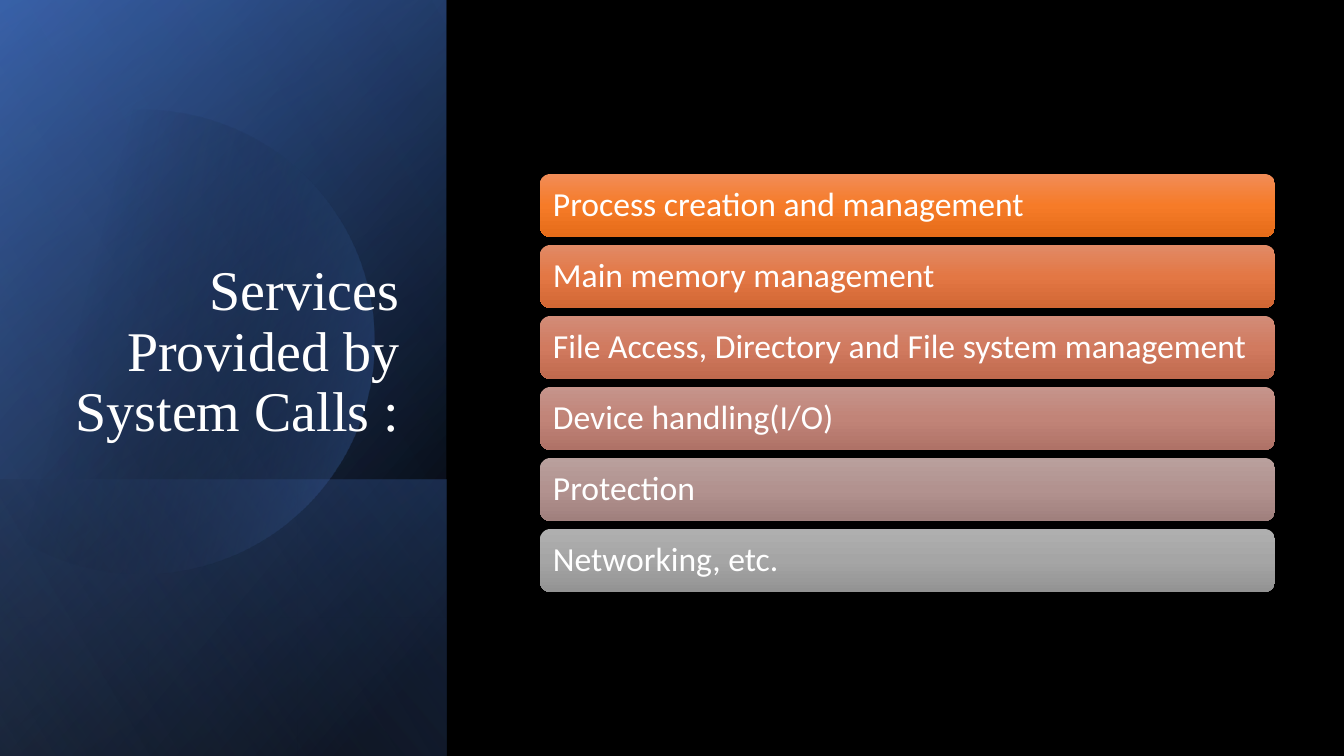
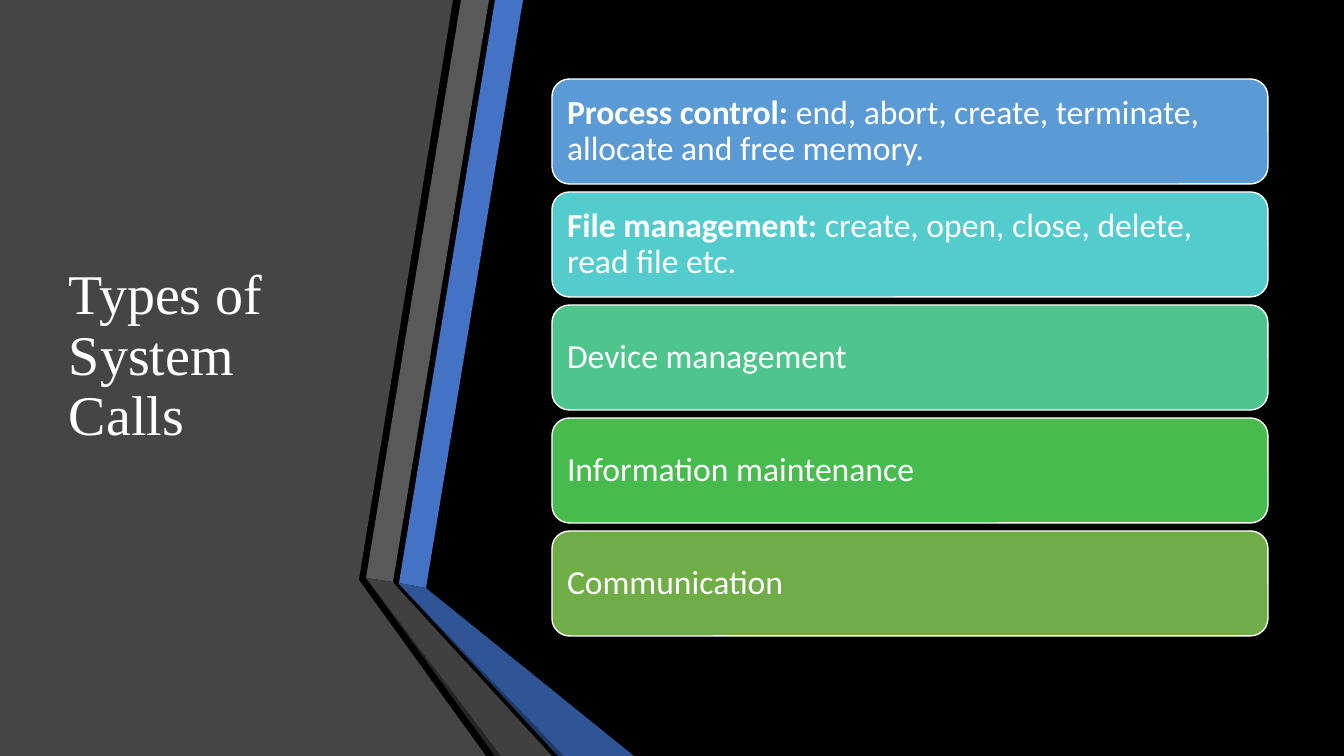
"""Build two slides on system calls: services provided and types."""
from dataclasses import dataclass
from math import acos, cos, sin

from lxml import etree
from pptx import Presentation
from pptx.dml.color import RGBColor
from pptx.enum.shapes import MSO_SHAPE
from pptx.enum.text import MSO_ANCHOR, PP_ALIGN
from pptx.oxml.ns import qn
from pptx.shapes.autoshape import Shape
from pptx.slide import Slide
from pptx.util import Emu, Inches, Pt

EMU_PER_PIXEL = 914400 / 100.8
PAGE_WIDTH, PAGE_HEIGHT = 1344, 756
PANEL_WIDTH = 446

ROUNDED, RECTANGLE = MSO_SHAPE.ROUNDED_RECTANGLE, MSO_SHAPE.RECTANGLE
MIDDLE, BOTTOM = MSO_ANCHOR.MIDDLE, MSO_ANCHOR.BOTTOM
LEFT, RIGHT = PP_ALIGN.LEFT, PP_ALIGN.RIGHT

TITLE_FONT, BODY_FONT = "Times New Roman", "Calibri"
TITLE_SIZE, BODY_SIZE = Pt(40), Pt(24)
LINE_SPACING = 0.9

BLACK = RGBColor(0x00, 0x00, 0x00)
WHITE = RGBColor(0xFF, 0xFF, 0xFF)
BLUE = RGBColor(0x44, 0x72, 0xC4)
DARK_BLUE = RGBColor(0x2F, 0x55, 0x97)
NAVY = RGBColor(0x20, 0x38, 0x64)
PALE_BLUE = RGBColor(0x8F, 0xAA, 0xDC)
PANEL_GREY = RGBColor(0x45, 0x45, 0x45)
RIBBON_GREY = RGBColor(0x59, 0x59, 0x59)
FOLD_GREY = RGBColor(0x40, 0x40, 0x40)
EDGE_GREY = RGBColor(0x26, 0x26, 0x26)
SKY = RGBColor(0x5B, 0x9B, 0xD5)
TURQUOISE = RGBColor(0x54, 0xCC, 0xCD)
MINT = RGBColor(0x4D, 0xC5, 0x8D)
GREEN = RGBColor(0x48, 0xBB, 0x4F)
OLIVE = RGBColor(0x70, 0xAD, 0x47)
ORANGES = (RGBColor(0xF1, 0x8C, 0x57), RGBColor(0xF6, 0x7B, 0x28), RGBColor(0xE5, 0x6C, 0x19))
CORALS = (RGBColor(0xE1, 0x8A, 0x66), RGBColor(0xE3, 0x77, 0x44), RGBColor(0xD2, 0x67, 0x34))
BRICKS = (RGBColor(0xD2, 0x8C, 0x78), RGBColor(0xD1, 0x7A, 0x5F), RGBColor(0xC0, 0x6A, 0x4E))
ROSES = (RGBColor(0xC5, 0x94, 0x8B), RGBColor(0xC1, 0x84, 0x78), RGBColor(0xAF, 0x72, 0x67))
MAUVES = (RGBColor(0xB9, 0xA0, 0x9D), RGBColor(0xB2, 0x92, 0x8F), RGBColor(0xA0, 0x80, 0x7D))
GREYS = (RGBColor(0xAF, 0xAF, 0xAF), RGBColor(0xA5, 0xA5, 0xA5), RGBColor(0x93, 0x93, 0x93))

Point = tuple[float, float]


@dataclass(frozen=True)
class Stop:
    """A gradient colour at a position, both measures in percent."""

    position: int
    color: RGBColor
    opacity: int = 100


@dataclass(frozen=True)
class Gradient:
    """A linear gradient with a clockwise angle in degrees."""

    angle: int
    stops: tuple[Stop, ...]


Fill = RGBColor | Gradient


@dataclass(frozen=True)
class Box:
    """A rectangle in pixels."""

    left: int
    top: int
    width: int
    height: int


@dataclass(frozen=True)
class Layer:
    """A gradient layer of the side panel, from a top edge to the page foot."""

    top: int
    fill: Gradient


@dataclass(frozen=True)
class Facet:
    """A filled polygon of the folded ribbon."""

    fill: RGBColor
    points: tuple[Point, ...]


@dataclass(frozen=True)
class Bar:
    """A list entry with an optional bold lead."""

    fill: Fill
    text: str
    lead: str = ""


@dataclass(frozen=True)
class BarList:
    """A column of equal bars; the box is that of the first one."""

    first: Box
    pitch: int
    outline: RGBColor | None
    bars: tuple[Bar, ...]


@dataclass(frozen=True)
class Title:
    """A slide title and its placement."""

    text: str
    box: Box
    anchor: MSO_ANCHOR
    align: PP_ALIGN


def px(pixels: float) -> Emu:
    """Convert pixels to EMU."""
    return Emu(round(pixels * EMU_PER_PIXEL))


def place(box: Box) -> tuple[Emu, Emu, Emu, Emu]:
    """Convert a box to EMU."""
    return px(box.left), px(box.top), px(box.width), px(box.height)


def shaded(colors: tuple[RGBColor, ...]) -> Gradient:
    """Return a top-to-bottom gradient through three colours."""
    return Gradient(90, tuple(Stop(50 * index, color) for index, color in enumerate(colors)))


def apply_gradient(shape: Shape, gradient: Gradient) -> None:
    """Fill a shape with a gradient that turns with it."""
    shape.fill.gradient()
    element = shape._element.spPr.find(qn("a:gradFill"))
    element.clear()
    element.set("rotWithShape", "1")
    stop_list = etree.SubElement(element, qn("a:gsLst"))
    for stop in gradient.stops:
        entry = etree.SubElement(stop_list, qn("a:gs"), pos=str(stop.position * 1000))
        color = etree.SubElement(entry, qn("a:srgbClr"), val=str(stop.color))
        if stop.opacity < 100:
            etree.SubElement(color, qn("a:alpha"), val=str(stop.opacity * 1000))
    etree.SubElement(element, qn("a:lin"), ang=str(gradient.angle * 60000), scaled="0")


def style(shape: Shape, fill: Fill, outline: RGBColor | None = None) -> None:
    """Set fill and outline, and drop the shadow."""
    shape.shadow.inherit = False
    if isinstance(fill, Gradient):
        apply_gradient(shape, fill)
    else:
        shape.fill.solid()
        shape.fill.fore_color.rgb = fill
    if outline is None:
        shape.line.fill.background()
    else:
        shape.line.color.rgb = outline
        shape.line.width = Pt(1)


def draw_polygon(page: Slide, points: tuple[Point, ...], fill: Fill) -> None:
    """Draw a closed polygon."""
    first, *rest = [(px(x), px(y)) for x, y in points]
    builder = page.shapes.build_freeform(*first)
    builder.add_line_segments(rest, close=True)
    style(builder.convert_to_shape(), fill)


def draw_layer(page: Slide, layer: Layer) -> None:
    """Draw a panel layer as a mirrored rectangle turned by a quarter."""
    height = PAGE_HEIGHT - layer.top
    shift = (PANEL_WIDTH - height) // 2
    box = Box(shift, layer.top - shift, height, PANEL_WIDTH)
    shape = page.shapes.add_shape(RECTANGLE, *place(box))
    style(shape, layer.fill)
    shape.rotation = 90
    shape._element.spPr.xfrm.set("flipH", "1")


def disc_points(center: Point, radius: int, cut: int, steps: int = 120) -> tuple[Point, ...]:
    """Return the outline of a disc cut off at a left edge."""
    limit = acos((cut - center[0]) / radius)
    angles = [limit * (2 * step / steps - 1) for step in range(steps + 1)]
    return tuple((center[0] + radius * cos(a), center[1] + radius * sin(a)) for a in angles)


def draw_title(page: Slide, title: Title) -> None:
    """Draw the slide title."""
    frame = page.shapes.add_textbox(*place(title.box)).text_frame
    frame.word_wrap = True
    frame.vertical_anchor = title.anchor
    para = frame.paragraphs[0]
    para.text = title.text
    para.alignment = title.align
    para.line_spacing = LINE_SPACING
    para.font.name, para.font.size = TITLE_FONT, TITLE_SIZE
    para.font.color.rgb = WHITE


def draw_bars(page: Slide, column: BarList) -> None:
    """Draw a column of rounded bars with text."""
    first = column.first
    for index, bar in enumerate(column.bars):
        box = Box(first.left, first.top + index * column.pitch, first.width, first.height)
        shape = page.shapes.add_shape(ROUNDED, *place(box))
        style(shape, bar.fill, column.outline)
        frame = shape.text_frame
        frame.word_wrap = True
        frame.vertical_anchor = MIDDLE
        frame.margin_left = frame.margin_right = Inches(0.1)
        frame.margin_top = frame.margin_bottom = Inches(0.1)
        para = frame.paragraphs[0]
        para.alignment = LEFT
        para.line_spacing = LINE_SPACING
        para.font.name, para.font.size = BODY_FONT, BODY_SIZE
        para.font.color.rgb = WHITE
        if bar.lead:
            span = para.add_run()
            span.text = bar.lead
            span.font.bold = True
        para.add_run().text = bar.text


def add_page(deck: Presentation, title: Title, column: BarList) -> Slide:
    """Add a black page with its title and bars."""
    page = deck.slides.add_slide(deck.slide_layouts[6])
    page.background.fill.solid()
    page.background.fill.fore_color.rgb = BLACK
    return page


BASE_LAYERS = (
    Layer(0, Gradient(50, (Stop(8, BLACK), Stop(100, DARK_BLUE)))),
    Layer(0, Gradient(30, (Stop(0, BLACK, 0), Stop(99, BLUE, 46)))),
    Layer(480, Gradient(130, (Stop(2, BLUE, 29), Stop(100, BLACK, 30)))),
)
DISC_FILL = Gradient(14, (Stop(29, BLACK, 0), Stop(100, BLUE, 43)))
SHEEN = Layer(0, Gradient(120, (Stop(0, BLACK, 0), Stop(99, PALE_BLUE, 11))))
FACETS = (
    Facet(PANEL_GREY, ((0, 0), (453, 0), (359, 580), (486, 756), (0, 756))),
    Facet(BLUE, ((399, 583), (426, 588), (523, 0), (495, 0))),
    Facet(RIBBON_GREY, ((489, 0), (461, 0), (366, 578), (393, 582))),
    Facet(EDGE_GREY, ((366, 578), (495, 756), (501, 756))),
    Facet(NAVY, ((399, 584), (558, 756), (564, 756))),
    Facet(DARK_BLUE, ((399, 584), (564, 756), (634, 756), (426, 588), (399, 583))),
    Facet(FOLD_GREY, ((552, 756), (398, 588), (393, 582), (366, 578), (501, 756))),
)
SERVICES_TITLE = Title("Services Provided by System Calls :", Box(65, 185, 344, 264), BOTTOM, RIGHT)
SERVICES = BarList(Box(540, 174, 735, 63), 71, None, (
    Bar(shaded(ORANGES), "Process creation and management"),
    Bar(shaded(CORALS), "Main memory management"),
    Bar(shaded(BRICKS), "File Access, Directory and File system management"),
    Bar(shaded(ROSES), "Device handling(I/O)"),
    Bar(shaded(MAUVES), "Protection"),
    Bar(shaded(GREYS), "Networking, etc."),
))
TYPES_TITLE = Title("Types of System Calls\u00a0", Box(59, 76, 306, 562), MIDDLE, LEFT)
TYPES = BarList(Box(552, 79, 716, 105), 113, WHITE, (
    Bar(SKY, "\u00a0end, abort, create, terminate, allocate and free memory.", "Process control:"),
    Bar(TURQUOISE, "\u00a0create, open, close, delete, read file etc.", "File management:"),
    Bar(MINT, "Device management"),
    Bar(GREEN, "Information maintenance"),
    Bar(OLIVE, "Communication"),
))


def main() -> None:
    """Build and save the deck."""
    deck = Presentation()
    deck.slide_width, deck.slide_height = px(PAGE_WIDTH), px(PAGE_HEIGHT)

    services = add_page(deck, SERVICES_TITLE, SERVICES)
    for layer in BASE_LAYERS:
        draw_layer(services, layer)
    draw_polygon(services, disc_points((142, 342), 232, -15), DISC_FILL)
    draw_layer(services, SHEEN)

    types = add_page(deck, TYPES_TITLE, TYPES)
    for facet in FACETS:
        draw_polygon(types, facet.points, facet.fill)

    for page, title, column in ((services, SERVICES_TITLE, SERVICES), (types, TYPES_TITLE, TYPES)):
        draw_title(page, title)
        draw_bars(page, column)
    deck.save("out.pptx")


main()
